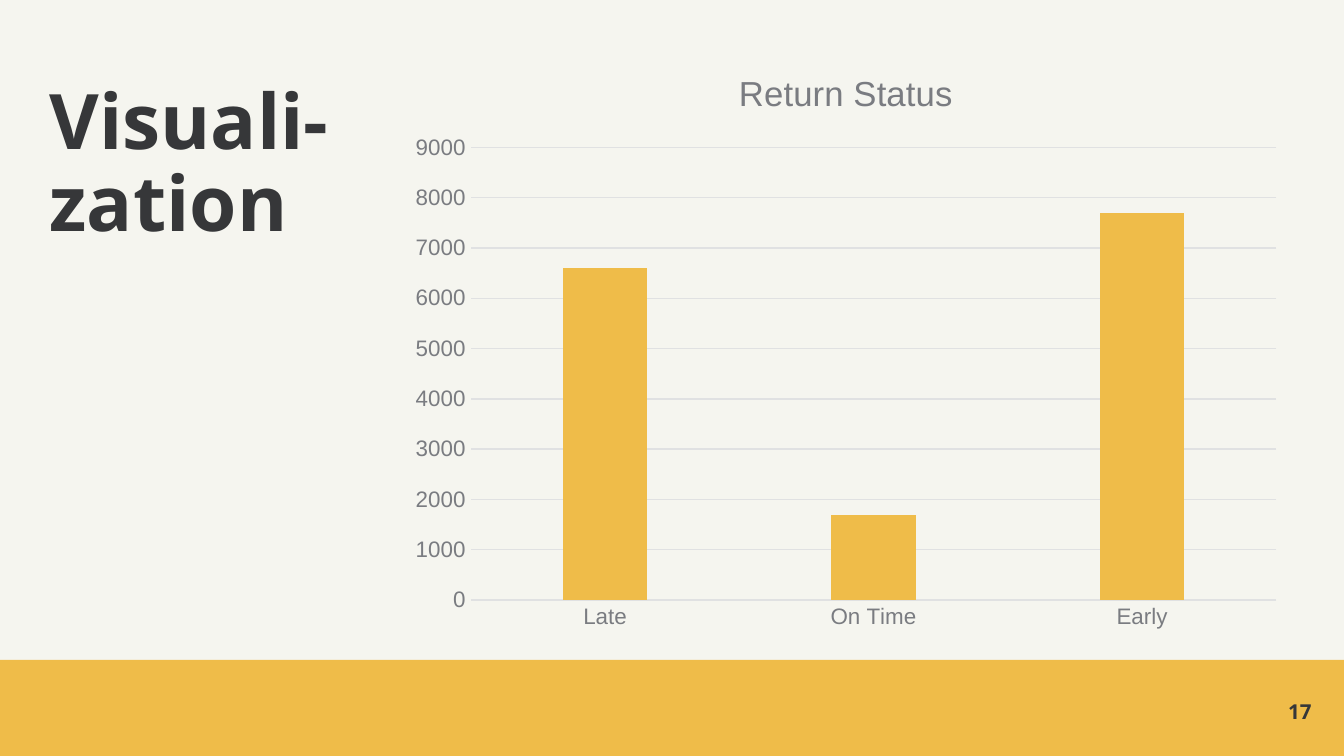
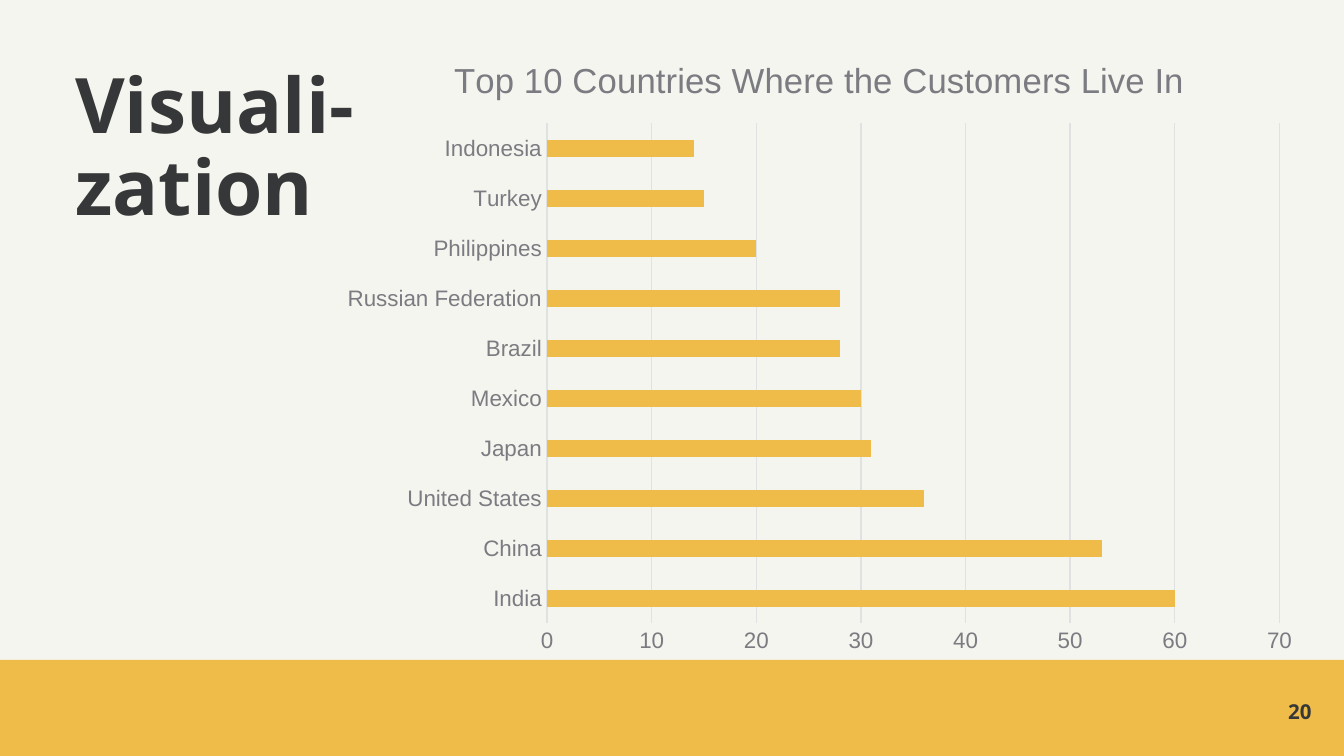
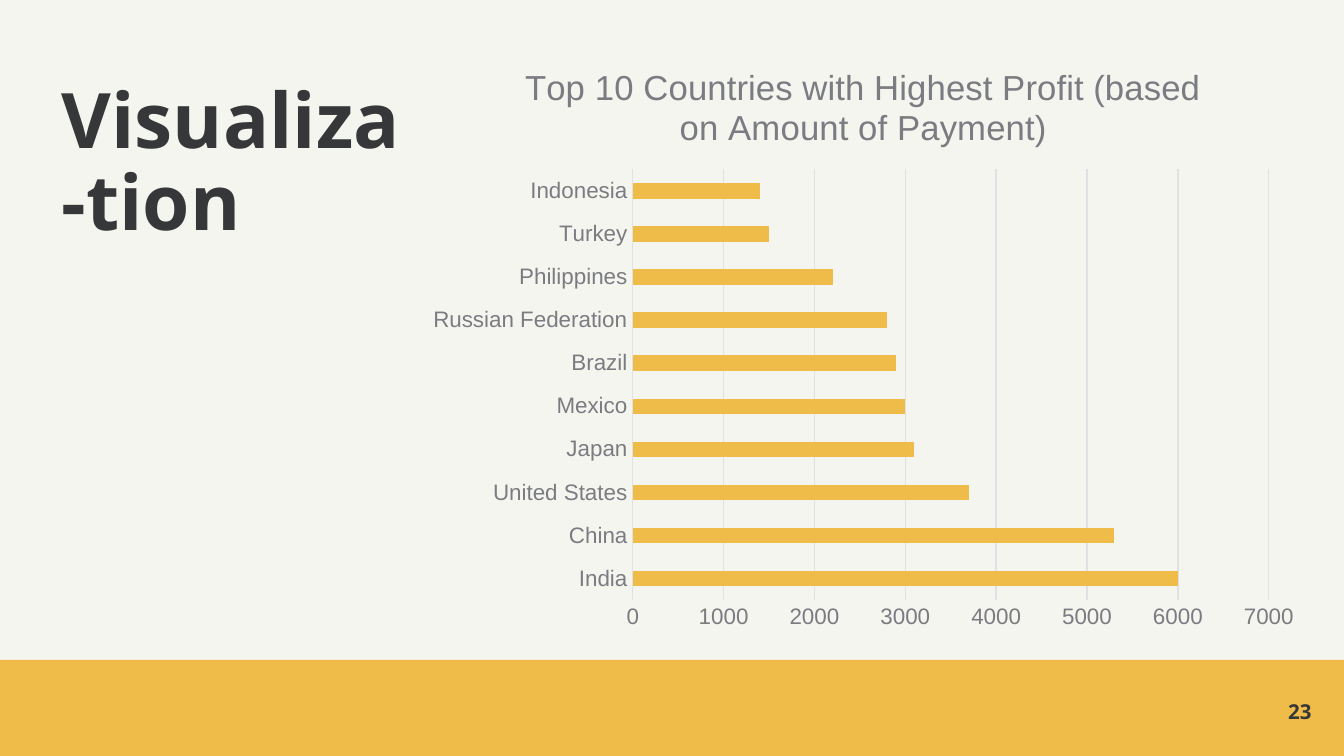
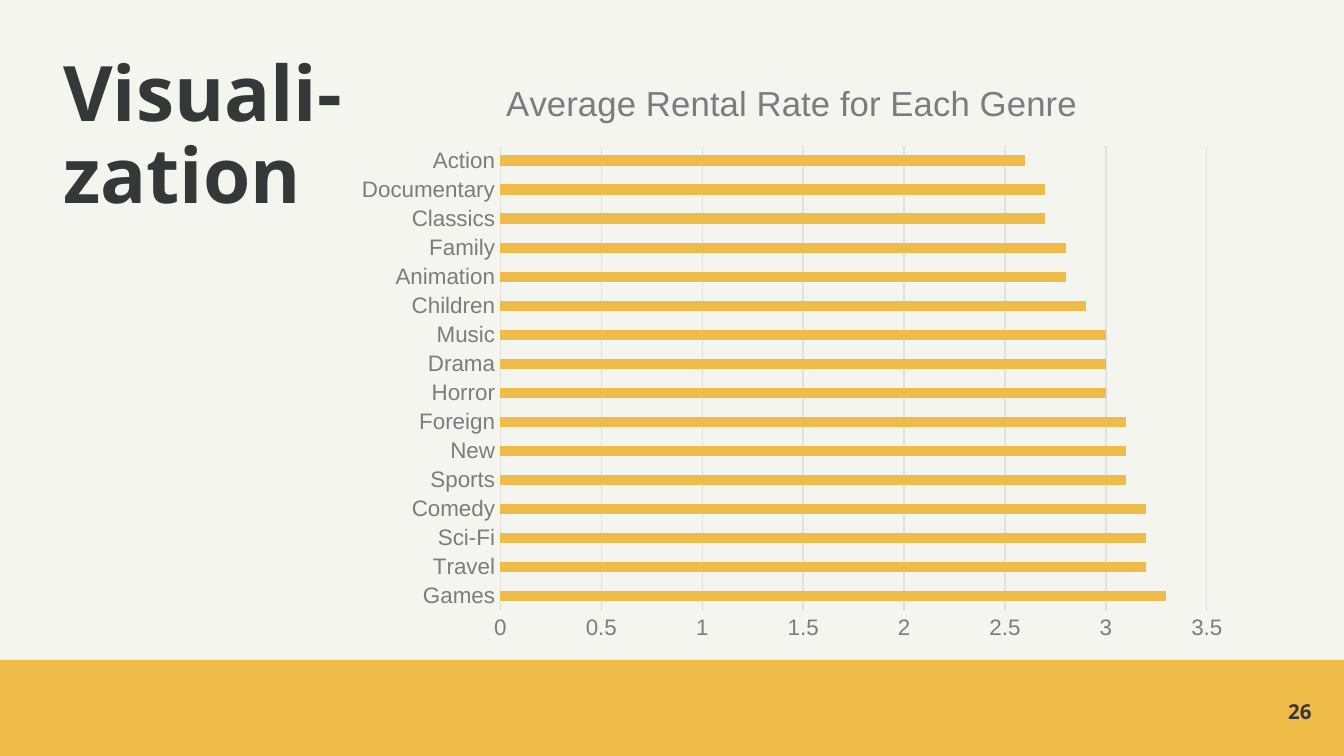
from dataclasses import dataclass

from pptx import Presentation
from pptx.chart.data import CategoryChartData
from pptx.dml.color import RGBColor
from pptx.enum.chart import XL_CHART_TYPE, XL_TICK_MARK
from pptx.enum.shapes import MSO_SHAPE
from pptx.enum.text import MSO_ANCHOR, PP_ALIGN
from pptx.util import Pt

COLUMNS = XL_CHART_TYPE.COLUMN_CLUSTERED
BARS = XL_CHART_TYPE.BAR_CLUSTERED
NO_TICK = XL_TICK_MARK.NONE
RECTANGLE = MSO_SHAPE.RECTANGLE
TOP, MIDDLE = MSO_ANCHOR.TOP, MSO_ANCHOR.MIDDLE
LEFT, RIGHT = PP_ALIGN.LEFT, PP_ALIGN.RIGHT


@dataclass(frozen=True)
class Theme:
    paper: RGBColor = RGBColor(0xF5, 0xF5, 0xEF)
    ink: RGBColor = RGBColor(0x36, 0x37, 0x39)
    accent: RGBColor = RGBColor(0xEF, 0xBC, 0x49)
    label: RGBColor = RGBColor(0x7A, 0x7C, 0x81)
    grid: RGBColor = RGBColor(0xE0, 0xE1, 0xE2)
    text_font: str = "Noto Sans"
    chart_font: str = "Arial"
    title_size: float = 41
    number_size: float = 11
    chart_size: float = 10
    chart_title_size: float = 18.6
    axis_size: float = 12
    grid_width: float = 0.75


THEME = Theme()

# Page geometry in points: left, top, width, height
PAGE_WIDTH, PAGE_HEIGHT = 720, 405
BAND_BOX = (0, 353.5, PAGE_WIDTH, 51.5)
NUMBER_BOX = (659.5, 373.7, 43.2, 14.4)

COUNTRIES = ["India", "China", "United States", "Japan", "Mexico", "Brazil",
             "Russian Federation", "Philippines", "Turkey", "Indonesia"]
GENRES = ["Games", "Travel", "Sci-Fi", "Comedy", "Sports", "New", "Foreign",
          "Horror", "Drama", "Music", "Children", "Animation", "Family",
          "Classics", "Documentary", "Action"]


@dataclass(frozen=True)
class ChartSlide:
    number: str
    title_lines: tuple
    title_box: tuple
    chart_title: str
    chart_box: tuple
    categories: list
    values: list
    maximum: float
    step: float
    series_name: str = "Series 1"
    chart_type: int = BARS
    gap: int = 182
    overlap: int = 0


CHART_SLIDES = [
    ChartSlide("17", ("Visuali-zation",), (26.6, 44.6, 152.6, 89.3),
               "Return Status", (213.1, 23.8, 480.2, 319.7),
               ["Late", "On Time", "Early"], [6600, 1700, 7700], 9000, 1000,
               chart_type=COLUMNS, gap=219, overlap=-27),
    ChartSlide("20", ("Visuali-", "zation"), (40.3, 36, 152.6, 110.9),
               "Top 10 Countries Where the Customers Live In",
               (175.7, 16.6, 527, 339.8), COUNTRIES,
               [60, 53, 36, 31, 30, 28, 28, 20, 15, 14], 70, 10),
    ChartSlide("23", ("Visualiza-tion",), (33.1, 43.9, 182.2, 99.4),
               "Top 10 Countries with Highest Profit "
               "(based on Amount of Payment)",
               (222.5, 20.9, 480.2, 322.6), COUNTRIES,
               [6000, 5300, 3700, 3100, 3000, 2900, 2800, 2200, 1500, 1400],
               7000, 1000),
    ChartSlide("26", ("Visuali-zation",), (33.8, 29.5, 150.5, 113),
               "Average Rental Rate for Each Genre",
               (184.3, 29.5, 480.2, 319.7), GENRES,
               [3.3, 3.2, 3.2, 3.2, 3.1, 3.1, 3.1, 3.0,
                3.0, 3.0, 2.9, 2.8, 2.8, 2.7, 2.7, 2.6], 3.5, 0.5,
               series_name="Average Rental Rate for Each Genre"),
]


def in_points(box):
    return [Pt(length) for length in box]


def style_font(font, name, size, color, bold=False):
    font.name = name
    font.size = Pt(size)
    font.bold = bold
    font.color.rgb = color


def style_line(line):
    line.color.rgb = THEME.grid
    line.width = Pt(THEME.grid_width)


# Text and band

def add_text(slide, box, lines, size, align=LEFT, anchor=TOP, spacing=1.0):
    frame = slide.shapes.add_textbox(*in_points(box)).text_frame
    frame.word_wrap = True
    frame.vertical_anchor = anchor
    frame.margin_left = frame.margin_right = Pt(0)
    frame.margin_top = frame.margin_bottom = Pt(0)
    paragraph = frame.paragraphs[0]
    paragraph.alignment = align
    paragraph.line_spacing = spacing
    for index, line in enumerate(lines):
        if index:
            paragraph.add_line_break()
        run = paragraph.add_run()
        run.text = line
        style_font(run.font, THEME.text_font, size, THEME.ink, bold=True)


def add_band(slide):
    band = slide.shapes.add_shape(RECTANGLE, *in_points(BAND_BOX))
    band.shadow.inherit = False
    band.fill.solid()
    band.fill.fore_color.rgb = THEME.accent
    band.line.fill.background()


# Chart

def style_axis(axis):
    axis.major_tick_mark = axis.minor_tick_mark = NO_TICK
    style_font(axis.tick_labels.font, THEME.chart_font, THEME.axis_size,
               THEME.label)


def style_axes(chart, maximum, step):
    category_axis, value_axis = chart.category_axis, chart.value_axis
    style_axis(category_axis)
    category_axis.has_major_gridlines = False
    style_line(category_axis.format.line)

    style_axis(value_axis)
    value_axis.minimum_scale = 0
    value_axis.maximum_scale = maximum
    value_axis.major_unit = step
    value_axis.has_major_gridlines = True
    style_line(value_axis.major_gridlines.format.line)
    value_axis.format.line.fill.background()


def add_chart_title(chart, text):
    chart.has_title = True
    chart.chart_title.include_in_layout = False
    run = chart.chart_title.text_frame.paragraphs[0].add_run()
    run.text = text
    style_font(run.font, THEME.chart_font, THEME.chart_title_size, THEME.label)


def add_bar_chart(slide, content):
    data = CategoryChartData()
    data.categories = content.categories
    data.add_series(content.series_name, content.values)
    chart = slide.shapes.add_chart(
        content.chart_type, *in_points(content.chart_box), data).chart
    style_font(chart.font, THEME.chart_font, THEME.chart_size, THEME.ink)
    chart.has_legend = False
    add_chart_title(chart, content.chart_title)
    style_axes(chart, content.maximum, content.step)

    plot = chart.plots[0]
    plot.vary_by_categories = False
    plot.gap_width = content.gap
    plot.overlap = content.overlap
    series = plot.series[0]
    series.invert_if_negative = False
    series.format.fill.solid()
    series.format.fill.fore_color.rgb = THEME.accent


def add_chart_slide(presentation, content):
    slide = presentation.slides.add_slide(presentation.slide_layouts[6])
    add_text(slide, content.title_box, content.title_lines, THEME.title_size,
             spacing=0.9)
    add_band(slide)
    add_text(slide, NUMBER_BOX, [content.number], THEME.number_size,
             align=RIGHT, anchor=MIDDLE)
    add_bar_chart(slide, content)


def main():
    presentation = Presentation()
    presentation.slide_width = Pt(PAGE_WIDTH)
    presentation.slide_height = Pt(PAGE_HEIGHT)
    # The master carries the page colour for every slide
    page_fill = presentation.slide_master.background.fill
    page_fill.solid()
    page_fill.fore_color.rgb = THEME.paper
    for content in CHART_SLIDES:
        add_chart_slide(presentation, content)
    presentation.save("out.pptx")


main()
